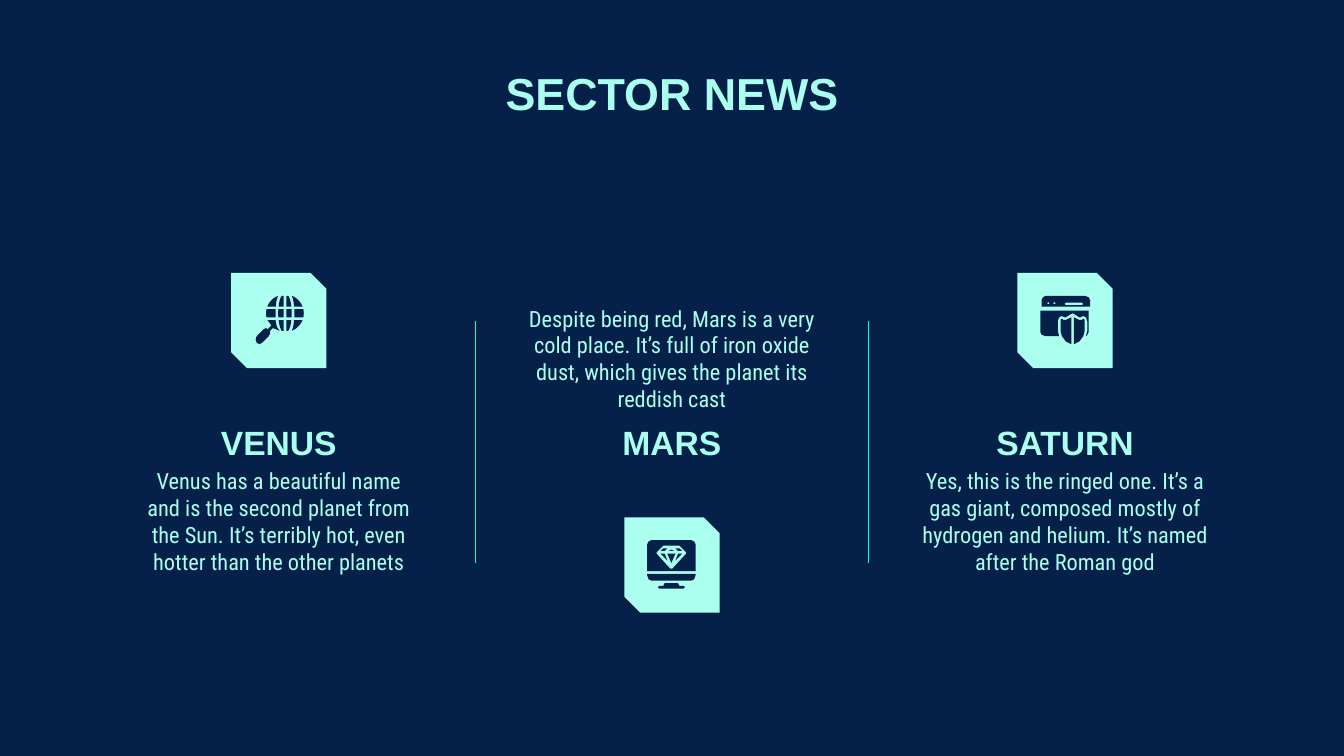
"""Build the "Sector News" slide: three planet columns with icons on snipped tiles."""
from dataclasses import dataclass
from math import sqrt

from lxml.etree import SubElement
from pptx import Presentation
from pptx.dml.color import RGBColor
from pptx.enum.shapes import MSO_CONNECTOR, MSO_SHAPE
from pptx.enum.text import MSO_ANCHOR, PP_ALIGN
from pptx.oxml.ns import qn
from pptx.util import Cm, Pt


@dataclass(frozen=True)
class Theme:
    navy: RGBColor = RGBColor(0x05, 0x21, 0x4A)
    mint: RGBColor = RGBColor(0xAA, 0xFF, 0xEE)
    green: RGBColor = RGBColor(0x00, 0xFF, 0xCD)
    heading_font: str = "Arial"
    body_font: str = "Roboto Condensed"
    title_size: Pt = Pt(24)
    heading_size: Pt = Pt(18)
    body_size: Pt = Pt(12)
    rule_width: Pt = Pt(0.75)


theme = Theme()
deck = Presentation()
deck.slide_width, deck.slide_height = Cm(25.4), Cm(14.29)
page = deck.slides.add_slide(deck.slide_layouts[6])
page.background.fill.solid()
page.background.fill.fore_color.rgb = theme.navy


def add_text(text, center, top, width, height, size, font, bold=False, anchor=MSO_ANCHOR.TOP):
    """Add a centred text box around a vertical axis."""
    box = page.shapes.add_textbox(Cm(center - width / 2), Cm(top), Cm(width), Cm(height))
    frame = box.text_frame
    frame.word_wrap = True
    frame.vertical_anchor = anchor
    frame.margin_left = frame.margin_right = frame.margin_top = frame.margin_bottom = Cm(0.25)
    frame.text = text
    para = frame.paragraphs[0]
    para.alignment = PP_ALIGN.CENTER
    span = para.runs[0]
    span.font.name, span.font.size, span.font.bold = font, size, bold
    span.font.color.rgb = theme.mint


def add_outline(contours, left, top):
    """Draw one icon piece, given in hundredths of an inch from the tile corner."""
    placed = [[(Cm(left + x * 0.0254), Cm(top + y * 0.0254)) for x, y in contour]
              for contour in contours]
    builder = page.shapes.build_freeform(*placed[0][0])
    builder.add_line_segments(placed[0][1:])
    for contour in placed[1:]:
        builder.move_to(*contour[0])
        builder.add_line_segments(contour[1:])
    piece = builder.convert_to_shape()
    piece.shadow.inherit = False
    piece.fill.solid()
    piece.fill.fore_color.rgb = theme.navy
    piece.line.fill.background()
    return piece


handle = [(27, 35), (30, 39), (27, 42), (26, 41), (24, 42), (19, 47), (18.2, 49.5), (19, 52),
          (21, 53), (23, 52), (28, 47), (29, 45), (29, 43), (31, 41), (36, 43), (34, 40), (33, 35)]
globe_icon = [[handle]]
bands = [((1, 0), (1, 4)), ((4, 3), (0, 14))]
for row_top, row_bottom in [(-13, -5), (-3, 3), (5, 13)]:
    heights = [row_top + (row_bottom - row_top) * step / 8 for step in range(9)]
    for side in (-1, 1):
        for band in bands:
            if (side, row_top, band) == (-1, 5, bands[1]):
                continue
            inner, outer = [[(40 + side * (base + bulge * sqrt(1 - (y / 14) ** 2)), 30 + y)
                             for y in heights] for base, bulge in band]
            globe_icon.append([inner + outer[::-1]])

screen = [(20, 17), (50, 17), (52, 18), (53, 20), (53, 40), (17, 40), (17, 20), (18, 18)]
gem = [(41, 21), (42, 22), (46, 26), (46, 27), (36, 38), (35, 38.3), (34, 38), (24, 27),
       (24, 26), (28, 22), (29, 21)]
screen_base = [(17, 42), (53, 42), (53, 43), (52, 46), (50, 47), (20, 47), (18, 46), (17, 43)]
stand = [(30, 49), (29, 51), (26, 51), (25, 52), (26, 53), (44, 53), (45, 52), (44, 51),
         (41, 51), (40, 49)]
side_facets = [[(29, 23), (27, 25), (30, 25), (32, 23)], [(27, 27), (32, 32), (30, 27)]]
monitor_icon = [[screen, gem], [screen_base], [stand],
                [[(35, 24), (33, 25), (37, 25)]], [[(32, 27), (35, 34), (38, 27)]]]
for facet in side_facets:
    monitor_icon += [[facet], [[(70 - x, y) for x, y in facet]]]

title_bar = [(21, 17), (50, 17), (53, 18), (54, 20), (54, 25), (18, 25), (18, 20), (19, 18)]
slot = [(36, 22), (48, 22), (49, 23), (48, 24), (36, 24), (35, 23)]
dots = [[(x - 1, 22.5), (x, 21.5), (x + 1, 22.5), (x, 23.5)] for x in (23, 27.5)]
window = [(17, 28), (17, 44), (18, 46), (21, 47), (31, 47), (30, 43), (30, 36), (31, 33),
          (33, 32), (35, 33), (36, 33), (39, 31), (41, 30), (43, 31), (46, 33), (47, 33),
          (49, 32), (51, 33), (52, 36), (52, 43), (51, 47), (52, 46), (53, 44), (53, 28)]
half_shield = [(40, 33), (36, 35), (34, 35), (33, 34), (32, 35), (32, 43), (33, 47),
               (36, 51), (40, 53)]
shield_icon = [[title_bar, slot, *dots], [window], [half_shield],
               [[(82 - x, y) for x, y in half_shield]]]

planets = [
    ("VENUS", "Venus has a beautiful name and is the second planet from the Sun. "
     "It’s terribly hot, even hotter than the other planets", 5.69, 8.59, 5.16, globe_icon),
    ("MARS", "Despite being red, Mars is a very cold place. It’s full of iron oxide dust, "
     "which gives the planet its reddish cast", 6.17, 5.51, 9.78, monitor_icon),
    ("SATURN", "Yes, this is the ringed one. It’s a gas giant, composed mostly of hydrogen "
     "and helium. It’s named after the Roman god", 6.17, 8.59, 5.16, shield_icon),
]
middle, pitch, tile_size = 12.7, 7.43, 1.8

add_text("SECTOR NEWS", middle, 0.99, 14.48, 2.62, theme.title_size, theme.heading_font, True)

for column, (name, story, story_width, story_top, tile_top, icon) in enumerate(planets):
    center = middle + (column - 1) * pitch
    add_text(name, center, 7.8, 7.42, 1.19, theme.heading_size, theme.heading_font, True,
             MSO_ANCHOR.BOTTOM)
    add_text(story, center, story_top, story_width, 2.79, theme.body_size, theme.body_font)
    tile_left = center - tile_size / 2
    tile = page.shapes.add_shape(MSO_SHAPE.SNIP_2_DIAG_RECTANGLE, Cm(tile_left), Cm(tile_top),
                                 Cm(tile_size), Cm(tile_size))
    tile.shadow.inherit = False
    tile.fill.solid()
    tile.fill.fore_color.rgb = theme.mint
    tile.line.fill.background()
    page.shapes.add_group_shape([add_outline(piece, tile_left, tile_top) for piece in icon])

for side in (-1, 1):
    x = Cm(middle + side * pitch / 2)
    divider = page.shapes.add_connector(MSO_CONNECTOR.STRAIGHT, x, Cm(6.07), x, Cm(10.64))
    divider.line.color.rgb = theme.green
    divider.line.width = theme.rule_width
    SubElement(divider._element.spPr, qn("a:effectLst"))

deck.save("out.pptx")
